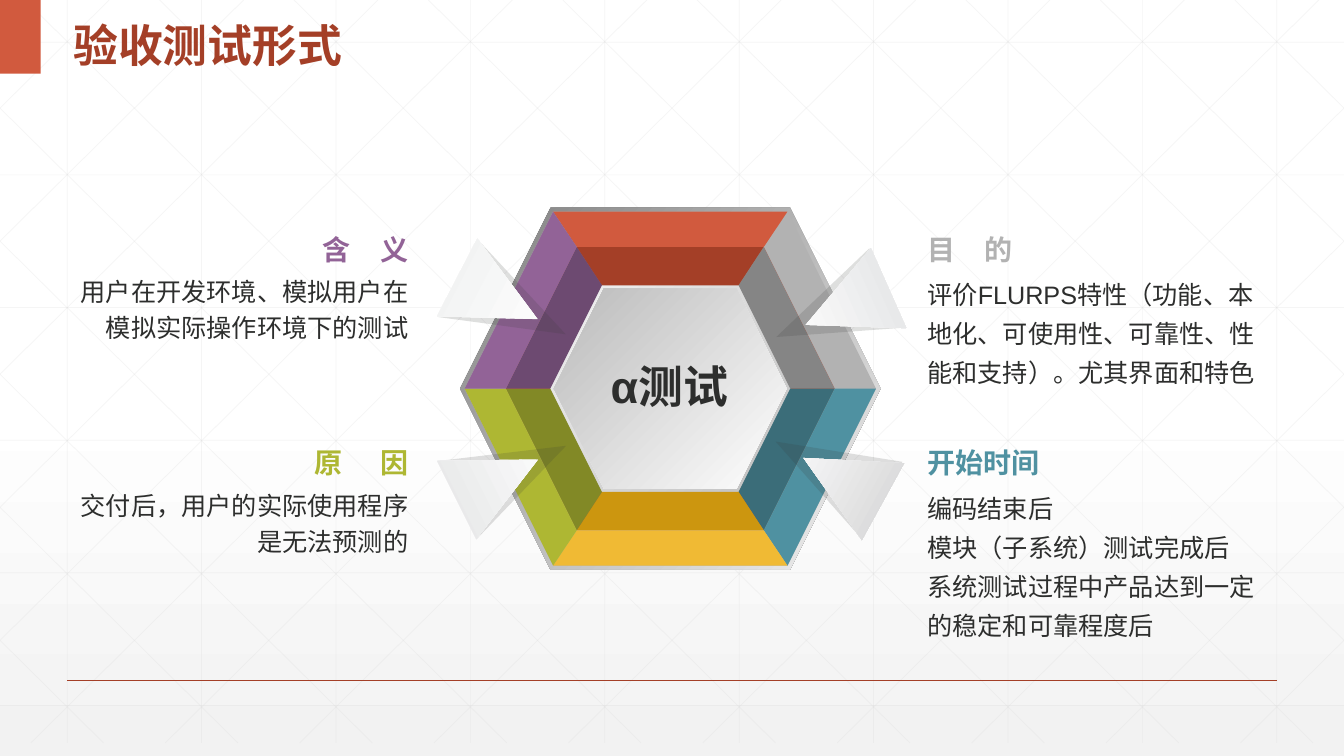
from lxml import etree
from pptx import Presentation
from pptx import util as u
from pptx.dml.color import RGBColor
from pptx.enum import shapes, text
from pptx.oxml.ns import qn

WIDTH, HEIGHT = 960, 540
COLORS = {
    "white": "FFFFFF", "mist": "F2F2F2", "grid": "D9D9D9",
    "ink": "2D2E2D", "shade": "373937",
    "red": "D15A3E", "dark_red": "A43F27",
    "silver": "B2B2B2", "dark_silver": "858585",
    "teal": "4F91A1", "dark_teal": "3B6D79",
    "gold": "F0BA34", "dark_gold": "CC960F",
    "lime": "AEB733", "dark_lime": "828926",
    "purple": "926397", "dark_purple": "6D4A71",
    "rim_dark": "808080", "edge": "BFBFBF", "face": "BABABA",
    "flap_lower_right": "D3D3D4", "flap_upper_right": "E2E3E4",
    "flap_lower_left": "E4E5E6", "flap_upper_left": "F0F1F1",
}


class Deck:
    font = "Arial"

    def __init__(self):
        self.file = Presentation()
        self.file.slide_width, self.file.slide_height = u.Pt(WIDTH), u.Pt(HEIGHT)
        self.slide = self.file.slides.add_slide(self.file.slide_layouts[6])

    def color(self, name):
        return RGBColor.from_string(COLORS[name])

    def gradient(self, fill, start, end, angle, first=0):
        """Two-stop gradient; angle runs clockwise."""
        fill.gradient()
        fill.gradient_angle = 360 - angle
        for stop, name, place in zip(fill.gradient_stops, (start, end), (first, 1)):
            stop.color.rgb = self.color(name)
            stop.position = place

    def fade(self, element, percent):
        for rgb in element.iter(qn("a:srgbClr")):
            etree.SubElement(rgb, qn("a:alpha"), val=str(percent * 1000))

    def line(self, x1, y1, x2, y2, color, width, opacity=100):
        rule = self.slide.shapes.add_connector(
            shapes.MSO_CONNECTOR.STRAIGHT, *map(u.Pt, (x1, y1, x2, y2)))
        rule.line.color.rgb = self.color(color)
        rule.line.width = u.Pt(width)
        properties = rule._element.spPr
        if opacity < 100:
            self.fade(properties, opacity)
        etree.SubElement(properties, qn("a:effectLst"))

    def paint(self, shape, fill):
        """Fill is a colour name or a (start, end, angle) gradient."""
        shape.shadow.inherit = False
        shape.line.fill.background()
        if isinstance(fill, tuple):
            self.gradient(shape.fill, *fill)
        else:
            shape.fill.solid()
            shape.fill.fore_color.rgb = self.color(fill)

    def shape(self, kind, x, y, w, h, fill, turn=0, opacity=100):
        preset = self.slide.shapes.add_shape(kind, *map(u.Pt, (x, y, w, h)))
        preset.rotation = turn
        self.paint(preset, fill)
        if opacity < 100:
            self.fade(preset._element.spPr, opacity)

    def polygon(self, points, fill):
        corners = [(u.Pt(x), u.Pt(y)) for x, y in points]
        builder = self.slide.shapes.build_freeform(*corners[0])
        builder.add_line_segments(corners[1:], close=True)
        self.paint(builder.convert_to_shape(), fill)

    def text(self, words, x, y, w, h, size, color, bold=False, spacing=None,
             right=False, middle=False, inset=None, grow=False, gap=0):
        box = self.slide.shapes.add_textbox(*map(u.Pt, (x, y, w, h)))
        frame = box.text_frame
        frame.word_wrap = True
        if grow:
            frame.auto_size = text.MSO_AUTO_SIZE.SHAPE_TO_FIT_TEXT
        if middle:
            frame.vertical_anchor = text.MSO_ANCHOR.MIDDLE
        if inset is not None:
            frame.margin_left = frame.margin_right = u.Pt(inset)
            frame.margin_top = frame.margin_bottom = u.Pt(inset)
        frame.text = words
        if gap:  # widen the first character and the space after it
            lead, space, tail = words.partition(" ")
            first = frame.paragraphs[0].runs[0]
            first.text = lead + space
            first._r.get_or_add_rPr().set("spc", str(round(gap * 100)))
            frame.paragraphs[0].add_run().text = tail
        for paragraph in frame.paragraphs:
            paragraph.alignment = text.PP_ALIGN.RIGHT if right else text.PP_ALIGN.LEFT
            if spacing:
                paragraph.line_spacing = spacing
            for run in paragraph.runs:
                run.font.name, run.font.size = self.font, u.Pt(size)
                run.font.bold = bold
                run.font.color.rgb = self.color(color)


def draw_grid(deck):
    bottom, slant = 530.6, 1.01
    for column in range(10):
        x = 48 + 96 * column
        deck.line(x, 0, x, bottom, "grid", 0.5, 25)
    for row in range(6):
        y = 30.2 + 94.75 * row
        deck.line(0, y, WIDTH, y, "grid", 0.5, 25)
    # Diagonals clipped to the slide, each with its mirror
    for step in range(-5, 10):
        top_x = 18 + 96 * step
        y1 = max(0, -top_x / slant)
        y2 = min(bottom, (WIDTH - top_x) / slant)
        x1, x2 = top_x + slant * y1, top_x + slant * y2
        deck.line(x1, y1, x2, y2, "grid", 0.5, 25)
        deck.line(WIDTH - x1, y1, WIDTH - x2, y2, "grid", 0.5, 25)


CENTER_X, CENTER_Y = 478.8, 277.6


def hexagon_corners(half_w, half_h):
    """Clockwise from the top left corner."""
    top = half_w - half_h / 2
    offsets = [(-top, -half_h), (top, -half_h), (half_w, 0),
               (top, half_h), (-top, half_h), (-half_w, 0)]
    return [(CENTER_X + dx, CENTER_Y + dy) for dx, dy in offsets]


def draw_hexagon(deck):
    rim, outer, middle, inner, face = (
        (150.1, 129.2), (146.9, 126.4), (117.4, 101.2), (85.7, 73.8), (83.2, 71.6))
    layers = [(rim, ("rim_dark", "mist", 45)), (outer, "silver"), (middle, "red"),
              (inner, ("edge", "mist", 225)), (face, ("white", "face", 225))]
    for (half_w, half_h), fill in layers:
        deck.shape(shapes.MSO_SHAPE.HEXAGON, CENTER_X - half_w, CENTER_Y - half_h,
                   2 * half_w, 2 * half_h, fill)

    # Facets, clockwise from the top; the outer silver one is the layer beneath
    sides = ["red", "silver", "teal", "gold", "lime", "purple"]
    for near, far, prefix in ((inner, middle, "dark_"), (middle, outer, "")):
        a, b = hexagon_corners(*near), hexagon_corners(*far)
        for side, color in enumerate(sides):
            following = (side + 1) % 6
            if prefix + color != "silver":
                deck.polygon([a[side], a[following], b[following], b[side]],
                             prefix + color)

    # Folded flaps with their shadows
    flaps = [((560.9, 293), (571, 310.3), 298.8, "flap_lower_right"),
             ((563, 180), (573.8, 186.5), 246.1, "flap_upper_right"),
             ((334.8, 294.5), (324, 310.3), 63.5, "flap_lower_left"),
             ((334.8, 175.7), (324, 180.7), 117.4, "flap_upper_left")]
    triangle = shapes.MSO_SHAPE.ISOSCELES_TRIANGLE
    for shadow, flap, turn, color in flaps:
        deck.shape(triangle, *shadow, 61.9, 86.4, "shade", turn, opacity=16)
        deck.shape(triangle, *flap, 62.6, 64.8, ("white", color, 90), turn)


def main():
    deck = Deck()

    # Background and title
    deck.gradient(deck.slide.background.fill, "white", "mist", 90, first=0.53)
    draw_grid(deck)
    deck.line(48, 486, 912, 486, "dark_red", 1)
    deck.shape(shapes.MSO_SHAPE.RECTANGLE, 0, 0, 29, 52.6, "red")
    deck.text("验收测试形式", 45.2, 0, 409.7, 52.6, 32, "dark_red", bold=True,
              spacing=1.3, middle=True)

    draw_hexagon(deck)

    # Four explanations: heading above body
    left, right, upper, lower = 56.2, 662.4, 162.7, 315.4
    topics = [
        (right, upper, "目 的", 8.3, "silver", 245,
         "评价FLURPS特性（功能、本地化、可使用性、可靠性、性能和支持）。尤其界面和特色"),
        (right, lower, "开始时间", 0, "teal", 235.4,
         "编码结束后\n模块（子系统）测试完成后\n系统测试过程中产品达到一定的稳定和可靠程度后"),
        (left, upper, "含 义", 8.3, "purple", 235.4,
         "用户在开发环境、模拟用户在模拟实际操作环境下的测试"),
        (left, lower, "原 因", 11.1, "lime", 235.4,
         "交付后，用户的实际使用程序是无法预测的"),
    ]
    for x, y, heading, gap, color, width, body in topics:
        on_left = x == left
        deck.text(heading, x, y, 235.4, 30.2, 20, color, bold=True,
                  right=on_left, middle=True, inset=0, gap=gap)
        deck.text(body, x, y + 30.2, width, 73.4, 18, "ink",
                  spacing=1.2 if on_left else 1.3, right=on_left, inset=0)

    # Centre label
    deck.text("α测试", 429.1, 252.7, 98.6, 46, 32, "ink", bold=True, grow=True)

    deck.file.save("out.pptx")


if __name__ == "__main__":
    main()
